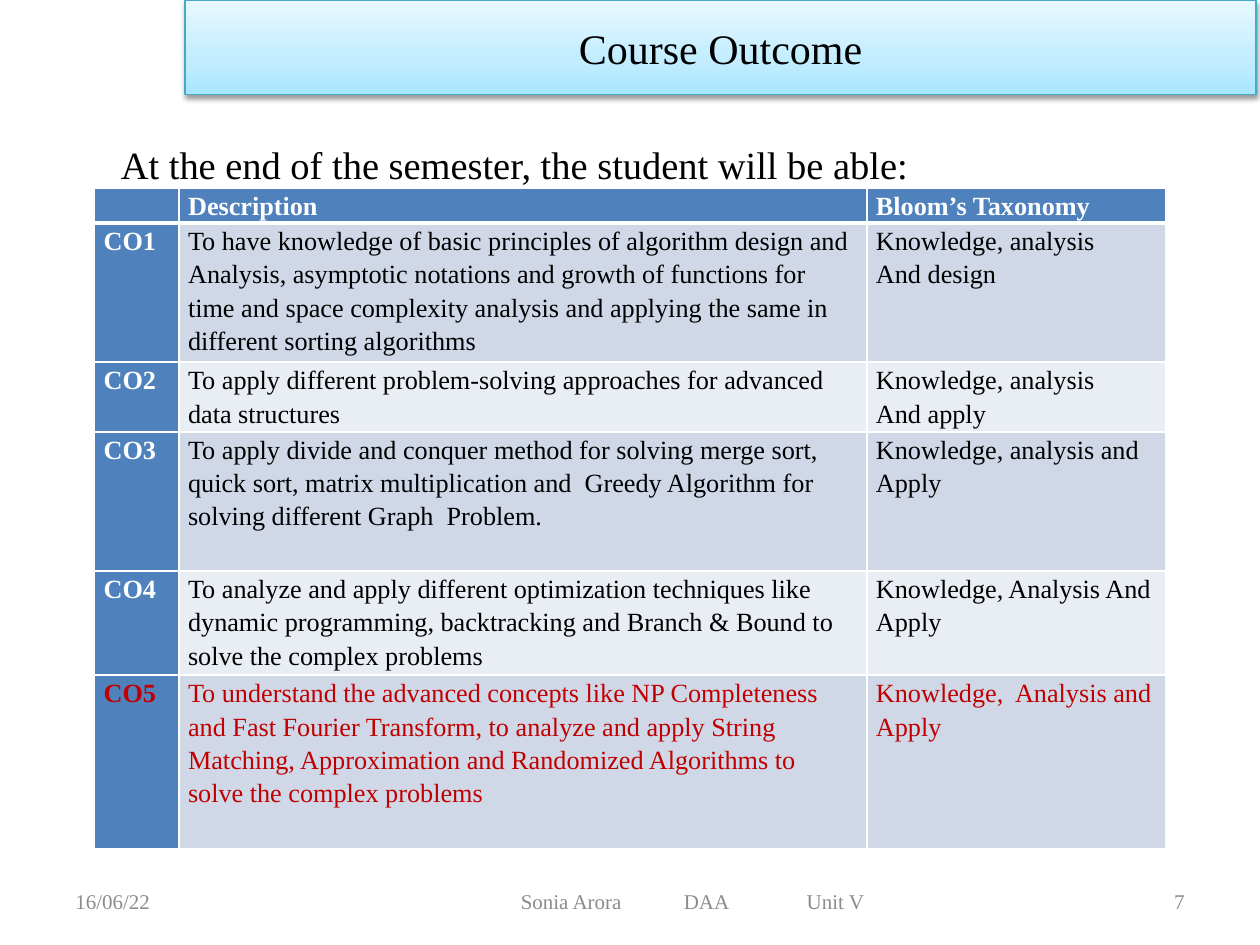
from dataclasses import dataclass

from lxml.etree import SubElement
from pptx import Presentation
from pptx.dml.color import RGBColor as RGB
from pptx.enum.shapes import MSO_SHAPE as SHAPE
from pptx.enum.text import MSO_ANCHOR as ANCHOR, MSO_AUTO_SIZE as AUTO, PP_ALIGN as AL
from pptx.oxml import parse_xml
from pptx.oxml.ns import nsdecls, qn
from pptx.util import Pt


@dataclass(frozen=True)
class Theme:
    """Colours, font and type sizes of the slide."""
    font: str = "Times New Roman"
    white: str = "FFFFFF"
    black: str = "000000"
    red: str = "C00000"
    grey: str = "8C8C8C"
    head: str = "4F81BD"
    bands: tuple = ("D0D8E8", "E9EDF4")
    outline: str = "46AAC5"
    gradient: tuple = ((0, "A7E6FF"), (35, "C1EDFF"), (100, "E7F8FF"))
    title: int = 24
    lead: int = 22
    body: int = 15
    footer: int = 12


@dataclass(frozen=True)
class Outcome:
    """One table row, with its height counted in text lines."""
    code: str
    description: str
    taxonomy: str
    lines: int


@dataclass(frozen=True)
class Label:
    """One line of text with its place and format."""
    text: str
    left: float
    top: float
    width: float
    height: float
    size: int
    color: str
    align: AL = AL.LEFT
    tabs: tuple = ()
    frame: tuple = (("vertical_anchor", ANCHOR.MIDDLE),)
    para: tuple = ()


T = Theme()
LINE = 19.88
COLS = (48.3, 393.1, 170.6)
OUTCOMES = (
    Outcome("", "Description", "Bloom’s Taxonomy", 1),
    Outcome("CO1", "To have knowledge of basic principles of algorithm design and "
            "Analysis, asymptotic notations and growth of functions for time and space "
            "complexity analysis and applying the same in different sorting algorithms",
            "Knowledge, analysis\nAnd design", 4),
    Outcome("CO2", "To apply different problem-solving approaches for advanced data structures",
            "Knowledge, analysis\nAnd apply", 2),
    Outcome("CO3", "To apply divide and conquer method for solving merge sort, quick sort, "
            "matrix multiplication and  Greedy Algorithm for solving different Graph  Problem.",
            "Knowledge, analysis and Apply", 4),
    Outcome("CO4", "To analyze and apply different optimization techniques like dynamic "
            "programming, backtracking and Branch & Bound to solve the complex problems",
            "Knowledge, Analysis And Apply", 3),
    Outcome("CO5", "To understand the advanced concepts like NP Completeness and Fast Fourier "
            "Transform, to analyze and apply String Matching, Approximation and Randomized "
            "Algorithms to solve the complex problems",
            "Knowledge,  Analysis and Apply", 5),
)
FOOT = dict(top=500.4, height=28.8, size=T.footer, color=T.grey)
LABELS = (
    Label("16/06/22", left=36, width=168, **FOOT),
    Label("Sonia Arora\tDAA\tUnit V", left=198, width=396, tabs=(93.2, 163.4),
          frame=(("vertical_anchor", ANCHOR.MIDDLE), ("margin_left", Pt(99.6))), **FOOT),
    Label("7", left=516, width=168, align=AL.RIGHT, **FOOT),
    Label("At the end of the semester, the student will be able:", 62, 73.4, 612, 36,
          T.lead, T.black, frame=(("auto_size", AUTO.SHAPE_TO_FIT_TEXT),),
          para=(("line_spacing", 1.15), ("space_after", Pt(10)))),
)


def apply(obj: object, values: dict) -> None:
    """Set each attribute named in the dict."""
    for name, value in values.items():
        setattr(obj, name, value)


def write(p, text: str, size: int, color: str, bold: bool = False) -> None:
    """Add one formatted run to a paragraph."""
    r = p.add_run()
    r.text = text
    apply(r.font, {"name": T.font, "size": Pt(size), "bold": bold})
    r.font.color.rgb = RGB.from_string(color)


def add_label(s, label: Label) -> None:
    """Draw a text box holding one line."""
    sp = s.shapes.add_textbox(*map(Pt, (label.left, label.top, label.width, label.height)))
    tf = sp.text_frame
    apply(tf, {"word_wrap": True, **dict(label.frame)})
    p = tf.paragraphs[0]
    apply(p, {"alignment": label.align, **dict(label.para)})
    if label.tabs:
        tabs = SubElement(p._p.get_or_add_pPr(), qn("a:tabLst"))
        for pos in label.tabs:
            SubElement(tabs, qn("a:tab"), pos=str(int(Pt(pos))), algn="l")
    write(p, label.text, label.size, label.color)


def add_banner(s, text: str) -> None:
    """Draw the shaded title bar with its shadow."""
    sp = s.shapes.add_shape(SHAPE.RECTANGLE, *map(Pt, (105.8, 0, 612, 54)))
    sp.line.color.rgb = RGB.from_string(T.outline)
    sp.line.width = Pt(0.75)
    stops = "".join(f'<a:gs pos="{pos * 1000}"><a:srgbClr val="{c}"/></a:gs>'
                    for pos, c in T.gradient)
    grad = parse_xml(f'<a:gradFill {nsdecls("a")} rotWithShape="1"><a:gsLst>{stops}</a:gsLst>'
                     '<a:lin ang="16200000" scaled="0"/></a:gradFill>')
    sp._element.spPr.find(qn("a:prstGeom")).addnext(grad)
    sp._element.spPr.append(parse_xml(
        f'<a:effectLst {nsdecls("a")}><a:outerShdw blurRad="{Pt(3.1)}" dist="{Pt(1.6)}" '
        f'dir="5400000" rotWithShape="0"><a:srgbClr val="{T.black}"><a:alpha val="38000"/>'
        '</a:srgbClr></a:outerShdw></a:effectLst>'))
    tf = sp.text_frame
    apply(tf, {"word_wrap": True, "vertical_anchor": ANCHOR.MIDDLE})
    p = tf.paragraphs[0]
    p.alignment = AL.CENTER
    write(p, text, T.title, T.black)


def fill_cell(cell, text: str, fill: str, color: str, bold: bool, bottom: float) -> None:
    """Set the text, margins, borders and fill of one cell."""
    apply(cell, {"margin_left": Pt(5.2), "margin_right": Pt(5.2),
                 "margin_top": 0, "margin_bottom": 0})
    tcPr = cell._tc.get_or_add_tcPr()
    for side, width in zip("LRTB", (1, 1, 1, bottom)):
        tcPr.append(parse_xml(
            f'<a:ln{side} {nsdecls("a")} w="{Pt(width)}"><a:solidFill>'
            f'<a:srgbClr val="{T.white}"/></a:solidFill></a:ln{side}>'))
    cell.fill.solid()
    cell.fill.fore_color.rgb = RGB.from_string(fill)
    tf = cell.text_frame
    for i, line in enumerate(text.split("\n")):
        p = tf.add_paragraph() if i else tf.paragraphs[0]
        p.line_spacing = 1.15
        if line:
            write(p, line, T.body, color, bold)
        else:
            SubElement(p._p, qn("a:endParaRPr"), sz=str(T.body * 100))


def add_outcomes(s) -> None:
    """Draw the table of course outcomes."""
    height = LINE * sum(o.lines for o in OUTCOMES)
    table = s.shapes.add_table(len(OUTCOMES), len(COLS), Pt(54), Pt(107.6),
                               Pt(sum(COLS)), Pt(height)).table
    for col, width in zip(table.columns, COLS):
        col.width = Pt(width)
    for i, o in enumerate(OUTCOMES):
        table.rows[i].height = Pt(LINE * o.lines)
        for j, text in enumerate((o.code, o.description, o.taxonomy)):
            head = i == 0 or j == 0
            fill = T.head if head else T.bands[(i - 1) % 2]
            color = T.red if o.code == "CO5" else T.white if head else T.black
            fill_cell(table.cell(i, j), text, fill, color, head, 1 if i else 3)


def main() -> None:
    """Build and save the slide."""
    prs = Presentation()
    apply(prs, {"slide_width": Pt(720), "slide_height": Pt(540)})
    s = prs.slides.add_slide(prs.slide_layouts[6])
    add_outcomes(s)
    add_banner(s, "Course Outcome")
    for label in LABELS:
        add_label(s, label)
    prs.save("out.pptx")


if __name__ == "__main__":
    main()
